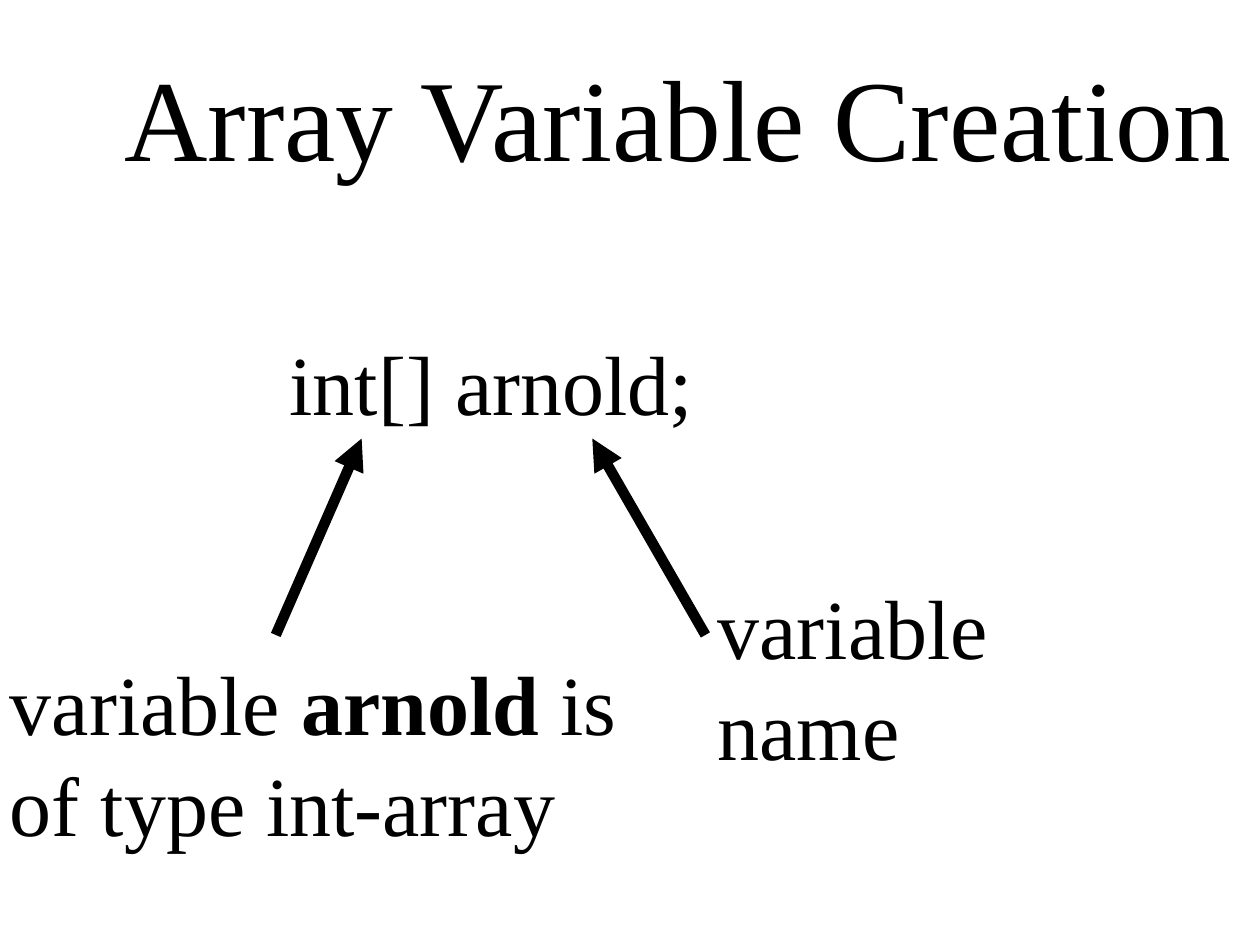
import pptx
import pptx.dml.color
import pptx.enum.shapes
import pptx.enum.text
import pptx.oxml
import pptx.oxml.ns
import pptx.util
from pptx.util import Cm

FONT = "Times New Roman"
COLOURS = {"ink": "000000"}
LINE_HEIGHT = 1.2
INSET_X, INSET_Y = Cm(0.25), Cm(0.13)

# Each paragraph is a list of (wording, bold) runs.
TITLE = {"left": 2.26, "top": 0.79, "width": 23.14, "size": 66,
         "paragraphs": [[("Array Variable Creation", False)]]}
LABELS = [
    {"left": 5.59, "top": 6.55, "width": 8.64, "size": 48,
     "paragraphs": [[("int[] arnold;", False)]]},
    {"left": 14.22, "top": 11.48, "width": 10.03, "size": 48,
     "paragraphs": [[("variable name", False)]]},
    {"left": -0.05, "top": 13.0, "width": 12.73, "size": 48,
     "paragraphs": [[("variable ", False), ("arnold", True), (" is", False)],
                    [("of type int-array", False)]]},
]
ARROW_START_Y, ARROW_TIP_Y = 12.8, 8.84
ARROWS_X = [(14.22, 11.94), (5.56, 7.29)]  # start, tip


def ink():
    return pptx.dml.color.RGBColor.from_string(COLOURS["ink"])


def fill_text(holder, content):
    """Place the holder and write its paragraphs, one line each."""
    pitch = pptx.util.Pt(content["size"] * LINE_HEIGHT)
    holder.left, holder.top = Cm(content["left"]), Cm(content["top"])
    holder.width = Cm(content["width"])
    holder.height = pitch * len(content["paragraphs"]) + 2 * INSET_Y

    frame = holder.text_frame
    frame.word_wrap = False
    frame.auto_size = pptx.enum.text.MSO_AUTO_SIZE.SHAPE_TO_FIT_TEXT
    frame.vertical_anchor = pptx.enum.text.MSO_ANCHOR.TOP
    frame.margin_left = frame.margin_right = INSET_X
    frame.margin_top = frame.margin_bottom = INSET_Y

    for index, runs in enumerate(content["paragraphs"]):
        paragraph = frame.add_paragraph() if index else frame.paragraphs[0]
        paragraph.alignment = pptx.enum.text.PP_ALIGN.LEFT
        paragraph.line_spacing = pitch
        for wording, bold in runs:
            run = paragraph.add_run()
            run.text = wording
            run.font.name = FONT
            run.font.size = pptx.util.Pt(content["size"])
            run.font.bold = bold
            run.font.color.rgb = ink()


def add_arrow(slide, start_x, tip_x):
    arrow = slide.shapes.add_connector(
        pptx.enum.shapes.MSO_CONNECTOR.STRAIGHT,
        Cm(start_x), Cm(ARROW_START_Y), Cm(tip_x), Cm(ARROW_TIP_Y))
    arrow.line.color.rgb = ink()
    arrow.line.width = pptx.util.Pt(6)
    head = pptx.oxml.parse_xml(
        f'<a:tailEnd {pptx.oxml.ns.nsdecls("a")} type="triangle"/>')
    arrow.line._get_or_add_ln().append(head)
    properties = arrow._element.spPr
    properties.append(pptx.oxml.parse_xml(
        f'<a:effectLst {pptx.oxml.ns.nsdecls("a")}/>'))


def main():
    deck = pptx.Presentation()
    deck.slide_width, deck.slide_height = Cm(25.4), Cm(19.05)
    slide = deck.slides.add_slide(deck.slide_layouts.get_by_name("Title Only"))

    fill_text(slide.shapes.title, TITLE)
    for label in LABELS:
        fill_text(slide.shapes.add_textbox(0, 0, 0, 0), label)
    for start_x, tip_x in ARROWS_X:
        add_arrow(slide, start_x, tip_x)

    deck.save("out.pptx")


if __name__ == "__main__":
    main()
